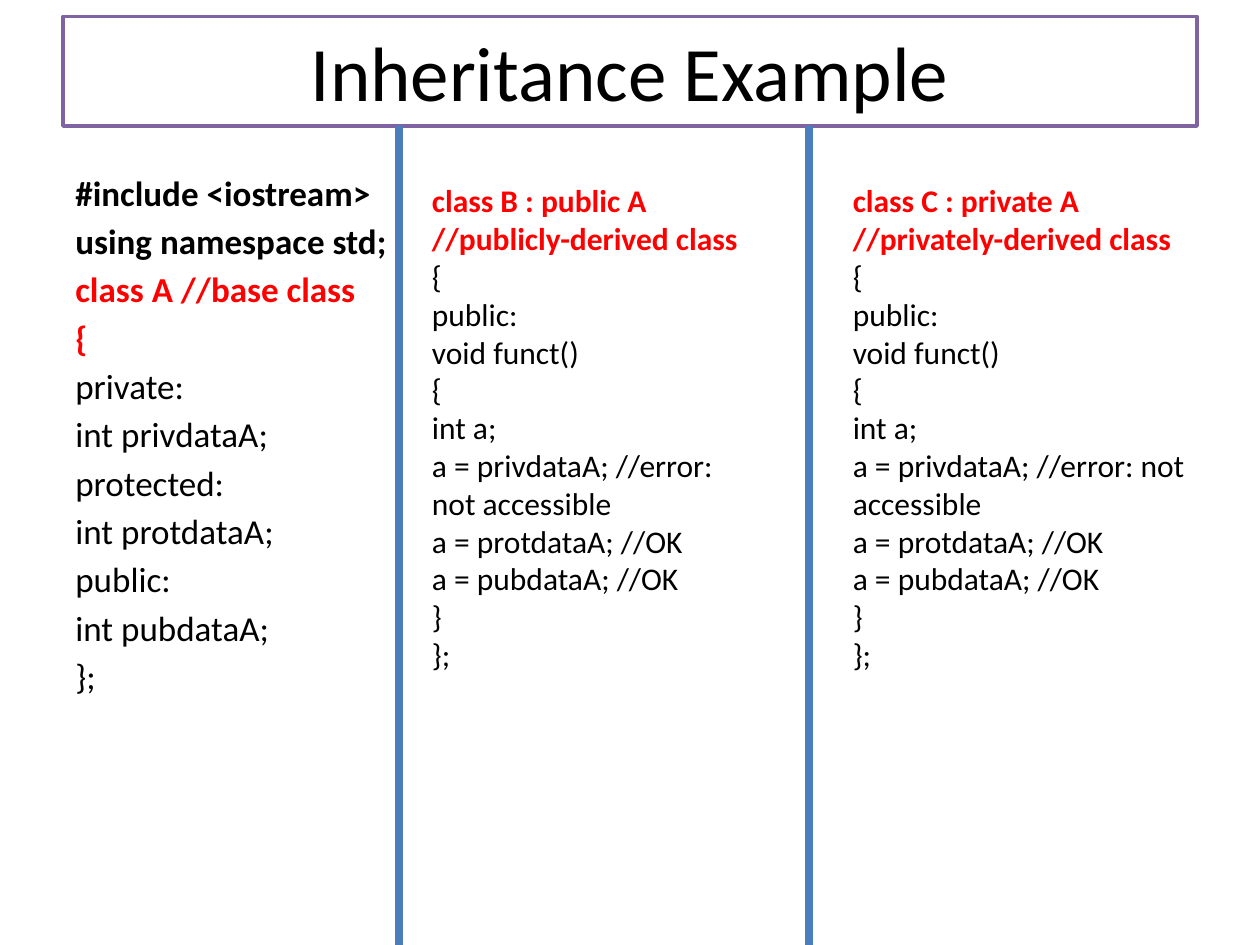
from lxml import etree
from pptx import Presentation
from pptx.dml.color import RGBColor
from pptx.enum.shapes import MSO_CONNECTOR
from pptx.enum.text import MSO_ANCHOR, PP_ALIGN
from pptx.oxml.ns import qn
from pptx.util import Inches, Pt

BLACK, RED, WHITE = "000000", "FF0000", "FFFFFF"
PURPLE, BLUE = "8064A2", "4B7EBC"

BASE_HEAD = [
    ("#include <iostream>", BLACK),
    ("using namespace std;", BLACK),
    ("class A //base class", RED),
    ("{", RED),
]
BASE_BODY = ["private:", "int privdataA;", "protected:", "int protdataA;",
             "public:", "int pubdataA;", "};"]
DERIVED_BODY = ["{", "public:", "void funct()", "{", "int a;",
                "a = privdataA; //error: not accessible",
                "a = protdataA; //OK", "a = pubdataA; //OK", "}", "};"]


def rgb(value):
    return RGBColor.from_string(value)


def style(paragraph, size, color, bold=False):
    font = paragraph.font
    font.name = "Calibri"
    font.size = Pt(size)
    font.bold = bold
    font.color.rgb = rgb(color)


def place(shape, left, top, width, height):
    shape.left, shape.top = Inches(left), Inches(top)
    shape.width, shape.height = Inches(width), Inches(height)


def add_title(slide, text):
    title = slide.shapes.title
    place(title, 0.5, 0.13, 9, 0.87)
    title.fill.solid()
    title.fill.fore_color.rgb = rgb(WHITE)
    title.line.color.rgb = rgb(PURPLE)
    title.line.width = Pt(2)
    frame = title.text_frame
    frame.text = text
    frame.vertical_anchor = MSO_ANCHOR.MIDDLE
    frame.paragraphs[0].alignment = PP_ALIGN.CENTER
    style(frame.paragraphs[0], 44, BLACK)


def add_code(slide, box, head, body, size, gap=0):
    frame = slide.shapes.add_textbox(*map(Inches, box)).text_frame
    frame.word_wrap = True
    lines = [(text, color, True) for text, color in head]
    lines += [(text, BLACK, False) for text in body]
    for i, (text, color, bold) in enumerate(lines):
        paragraph = frame.add_paragraph() if i else frame.paragraphs[0]
        paragraph.text = text
        paragraph.space_after = Pt(gap)
        style(paragraph, size, color, bold)


def add_divider(slide, x):
    line = slide.shapes.add_connector(
        MSO_CONNECTOR.STRAIGHT, Inches(x), Inches(1), Inches(x), Inches(7.5))
    line.line.color.rgb = rgb(BLUE)
    line.line.width = Pt(4.5)
    etree.SubElement(line._element.spPr, qn("a:effectLst"))


def main():
    prs = Presentation()
    prs.slide_width, prs.slide_height = Inches(10), Inches(7.5)
    slide = prs.slides.add_slide(prs.slide_layouts[5])
    add_title(slide, "Inheritance Example")
    add_code(slide, (0.5, 1.31, 2.8, 5.39), BASE_HEAD, BASE_BODY, 20, 3.6)
    for x in (3.17, 6.42):
        add_divider(slide, x)
    add_code(slide, (3.33, 1.39, 2.83, 4.04),
             [("class B : public A //publicly-derived class", RED)],
             DERIVED_BODY, 18)
    add_code(slide, (6.67, 1.39, 3.33, 4.34),
             [("class C : private A", RED),
              ("//privately-derived class", RED)],
             DERIVED_BODY, 18)
    prs.save("out.pptx")


main()
